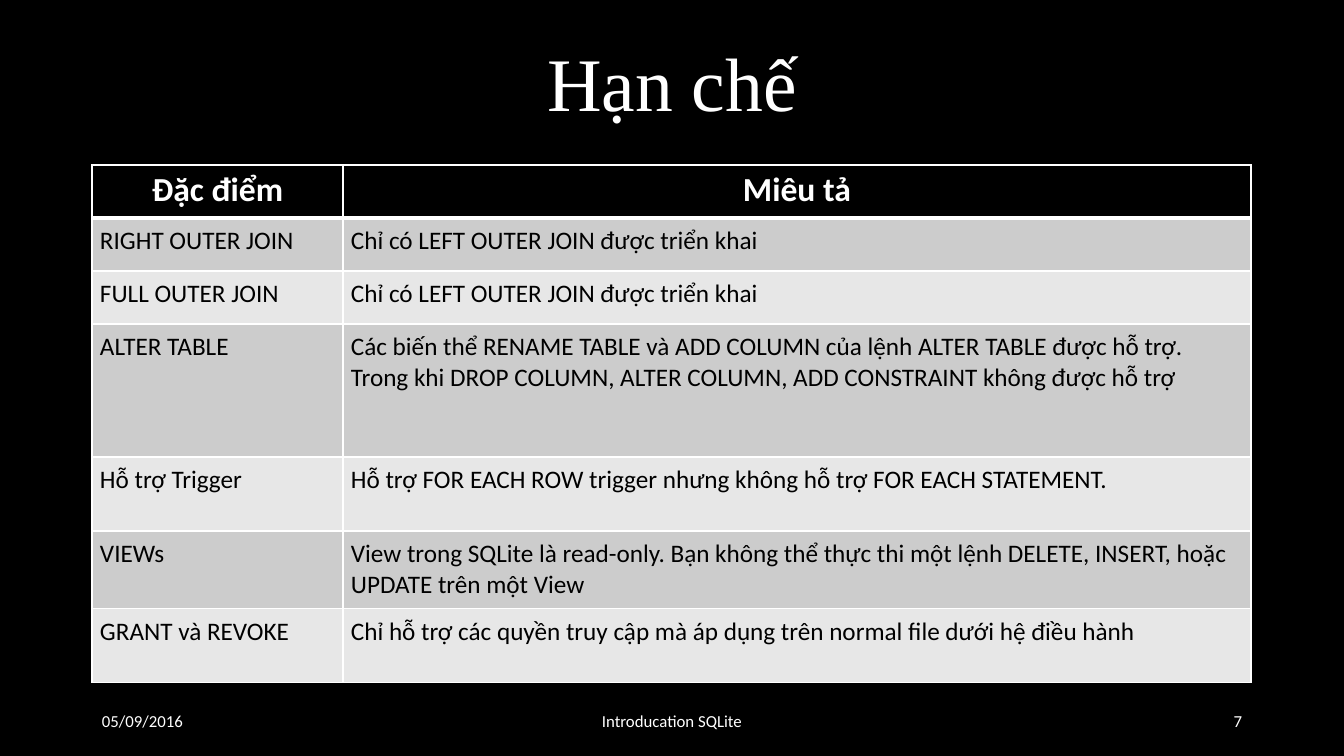
from dataclasses import dataclass

import lxml.etree
import pptx
import pptx.dml.color
import pptx.enum.text
import pptx.oxml.ns
import pptx.util

RGBColor = pptx.dml.color.RGBColor
Align = pptx.enum.text.PP_ALIGN
Anchor = pptx.enum.text.MSO_ANCHOR

BLACK = RGBColor(0x00, 0x00, 0x00)
WHITE = RGBColor(0xFF, 0xFF, 0xFF)
DARK_BAND = RGBColor(0xCC, 0xCC, 0xCC)
LIGHT_BAND = RGBColor(0xE7, 0xE7, 0xE7)

EMU_PER_PIXEL = 914400 / 100.8
BODY_FONT = "Calibri"
TITLE_FONT = "Times New Roman"
CELL_INSET = 8
THIN, THICK = 1, 3


def px(length: int) -> pptx.util.Emu:
    return pptx.util.Emu(round(length * EMU_PER_PIXEL))


@dataclass(frozen=True)
class Style:
    size: int
    color: RGBColor
    align: Align = Align.LEFT
    font: str = BODY_FONT
    bold: bool = False
    line_spacing: float = 1.0


@dataclass(frozen=True)
class Label:
    text: str
    left: int
    top: int
    width: int
    height: int
    style: Style


@dataclass(frozen=True)
class Limitation:
    feature: str
    description: str
    height: int


LABELS = [
    Label("Hạn chế", 92, 40, 1160, 94,
          Style(54, WHITE, Align.CENTER, TITLE_FONT, line_spacing=0.9)),
    Label("05/09/2016", 92, 701, 302, 40, Style(12, WHITE)),
    Label("Introducation SQLite", 445, 701, 454, 40, Style(12, WHITE, Align.CENTER)),
    Label("7", 950, 701, 302, 40, Style(12, WHITE, Align.RIGHT)),
]

HEADER = Limitation("Đặc điểm", "Miêu tả", 53)
LIMITATIONS = [
    Limitation("RIGHT OUTER JOIN", "Chỉ có LEFT OUTER JOIN được triển khai", 53),
    Limitation("FULL OUTER JOIN", "Chỉ có LEFT OUTER JOIN được triển khai", 53),
    Limitation("ALTER TABLE",
               "Các biến thể RENAME TABLE và ADD COLUMN của lệnh ALTER TABLE được hỗ trợ. "
               "Trong khi DROP COLUMN, ALTER COLUMN, ADD CONSTRAINT không được hỗ trợ", 133),
    Limitation("Hỗ trợ Trigger",
               "Hỗ trợ FOR EACH ROW trigger nhưng không hỗ trợ FOR EACH STATEMENT.", 74),
    Limitation("VIEWs",
               "View trong SQLite là read-only. Bạn không thể thực thi một lệnh DELETE, "
               "INSERT, hoặc UPDATE trên một View", 78),
    Limitation("GRANT và REVOKE",
               "Chỉ hỗ trợ các quyền truy cập mà áp dụng trên normal file dưới hệ điều hành", 74),
]
COLUMN_WIDTHS = [251, 908]
TABLE_LEFT, TABLE_TOP = 92, 165
HEADER_STYLE = Style(24, WHITE, Align.CENTER, bold=True)
BODY_STYLE = Style(18, BLACK)


def write(frame: pptx.text.text.TextFrame, text: str, style: Style) -> None:
    para = frame.paragraphs[0]
    para.alignment = style.align
    para.line_spacing = style.line_spacing
    span = para.add_run()
    span.text = text
    span.font.name = style.font
    span.font.size = pptx.util.Pt(style.size)
    span.font.bold = style.bold
    span.font.color.rgb = style.color


def add_label(page: pptx.slide.Slide, label: Label) -> None:
    box = page.shapes.add_textbox(
        px(label.left), px(label.top), px(label.width), px(label.height))
    box.text_frame.word_wrap = True
    box.text_frame.vertical_anchor = Anchor.MIDDLE
    write(box.text_frame, label.text, label.style)


def add_borders(cell: pptx.table._Cell, top: int, bottom: int) -> None:
    qn = pptx.oxml.ns.qn
    properties = cell._tc.get_or_add_tcPr()
    for side, width in (("L", THIN), ("R", THIN), ("T", top), ("B", bottom)):
        line = lxml.etree.SubElement(
            properties, qn(f"a:ln{side}"), w=str(pptx.util.Pt(width)))
        fill = lxml.etree.SubElement(line, qn("a:solidFill"))
        lxml.etree.SubElement(fill, qn("a:srgbClr"), val=str(WHITE))


def add_limitations(page: pptx.slide.Slide) -> None:
    rows = [HEADER, *LIMITATIONS]
    table = page.shapes.add_table(
        len(rows), len(COLUMN_WIDTHS), px(TABLE_LEFT), px(TABLE_TOP),
        px(sum(COLUMN_WIDTHS)), px(sum(row.height for row in rows))).table
    for column, width in zip(table.columns, COLUMN_WIDTHS):
        column.width = px(width)
    for index, row in enumerate(rows):
        table.rows[index].height = px(row.height)
        is_header = index == 0
        band = DARK_BAND if index % 2 else LIGHT_BAND
        for position, text in enumerate((row.feature, row.description)):
            cell = table.cell(index, position)
            add_borders(cell, THICK if index == 1 else THIN, THICK if is_header else THIN)
            cell.fill.solid()
            cell.fill.fore_color.rgb = BLACK if is_header else band
            if not is_header:
                cell.margin_left = cell.margin_right = px(CELL_INSET)
                cell.margin_top = cell.margin_bottom = px(CELL_INSET)
            write(cell.text_frame, text, HEADER_STYLE if is_header else BODY_STYLE)


def main() -> None:
    deck = pptx.Presentation()
    deck.slide_width, deck.slide_height = px(1344), px(756)
    page = deck.slides.add_slide(deck.slide_layouts[6])
    page.background.fill.solid()
    page.background.fill.fore_color.rgb = BLACK
    for label in LABELS:
        add_label(page, label)
    add_limitations(page)
    deck.save("out.pptx")


main()
